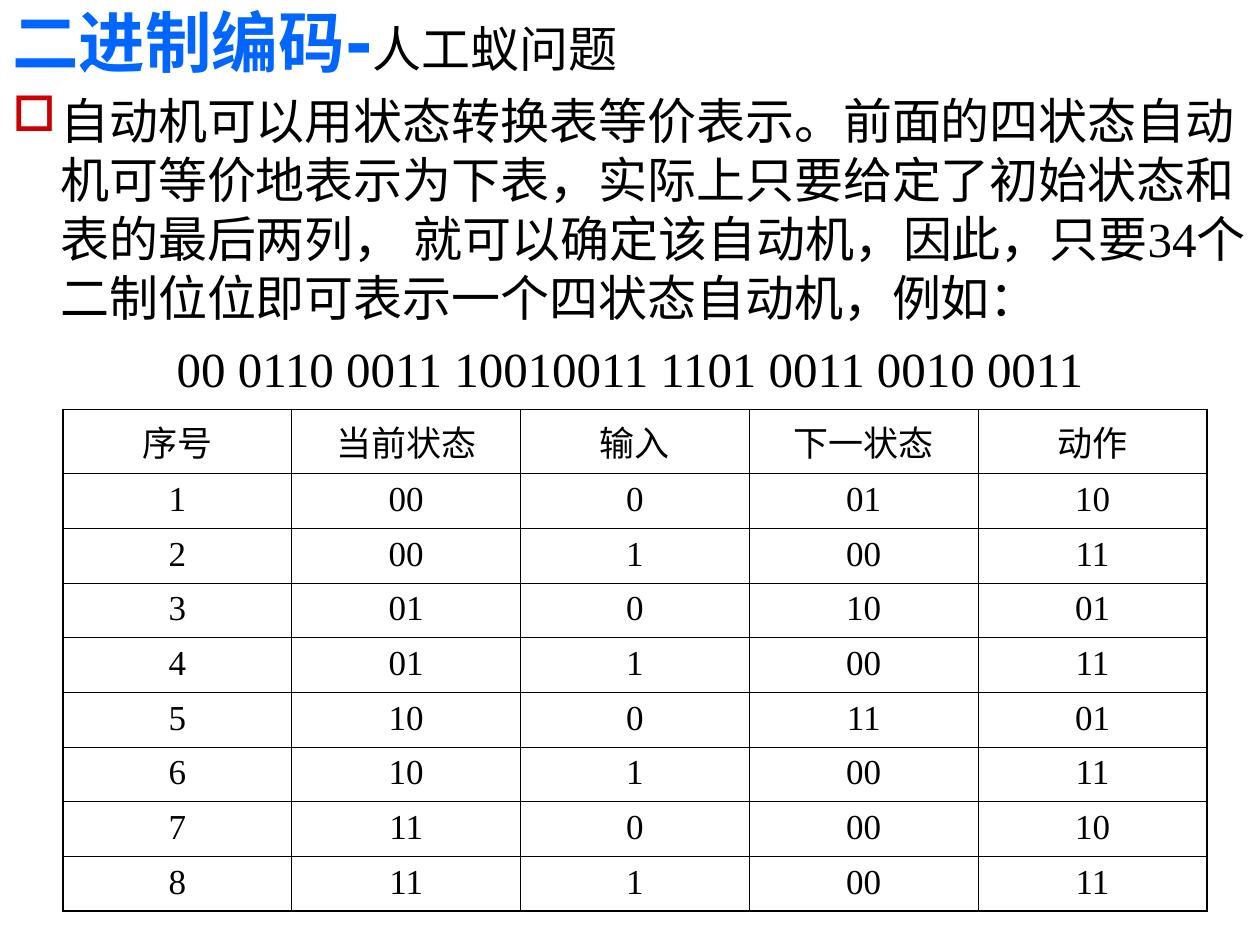
from dataclasses import dataclass

from lxml.etree import SubElement
from pptx import Presentation
from pptx.dml.color import RGBColor
from pptx.enum.lang import MSO_LANGUAGE_ID
from pptx.enum.text import MSO_ANCHOR, PP_ALIGN
from pptx.oxml.ns import qn
from pptx.util import Inches, Pt

BLUE = RGBColor(0x00, 0x66, 0xFF)
RED = RGBColor(0xCC, 0x00, 0x00)
BLACK = RGBColor(0x00, 0x00, 0x00)
SERIF = "Times New Roman"
SANS = "DejaVu Sans"
OUTER_LINE = Pt(1.08)
INNER_LINE = Pt(0.45)


@dataclass(frozen=True)
class Transition:
    next_state: str
    action: str


HEADINGS = ["序号", "当前状态", "输入", "下一状态", "动作"]
TRANSITIONS = [
    Transition("01", "10"),
    Transition("00", "11"),
    Transition("10", "01"),
    Transition("00", "11"),
    Transition("11", "01"),
    Transition("00", "11"),
    Transition("00", "10"),
    Transition("00", "11"),
]
EXPLANATION = (
    "自动机可以用状态转换表等价表示。前面的四状态自动机可等价地表示为下表，"
    "实际上只要给定了初始状态和表的最后两列， 就可以确定该自动机，因此，"
    "只要34个二制位位即可表示一个四状态自动机，例如："
)
ENCODING = "00 0110 0011 10010011 1101 0011 0010 0011"


def add_run(paragraph, text: str, *, size: float, font: str = SERIF,
            color: RGBColor = BLACK, bold: bool = False) -> None:
    run = paragraph.add_run()
    run.text = text
    run.font.size = Pt(size)
    run.font.name = font
    run.font.bold = bold
    run.font.color.rgb = color
    run.font.language_id = MSO_LANGUAGE_ID.SIMPLIFIED_CHINESE


def add_text_frame(slide, left: float, top: float, width: float, height: float,
                   anchor: MSO_ANCHOR = MSO_ANCHOR.TOP):
    box = slide.shapes.add_textbox(Inches(left), Inches(top), Inches(width), Inches(height))
    box.text_frame.word_wrap = True
    box.text_frame.vertical_anchor = anchor
    return box.text_frame


def set_hanging_indent(paragraph, indent: float) -> None:
    properties = paragraph._p.get_or_add_pPr()
    properties.set("marL", str(Inches(indent)))
    properties.set("indent", str(-Inches(indent)))


def set_bullet(paragraph, character: str, color: RGBColor) -> None:
    properties = paragraph._p.get_or_add_pPr()
    bullet_color = SubElement(properties, qn("a:buClr"))
    SubElement(bullet_color, qn("a:srgbClr"), val=str(color))
    SubElement(properties, qn("a:buChar"), char=character)


def set_borders(cell, *, left: int, right: int, top: int, bottom: int) -> None:
    properties = cell._tc.get_or_add_tcPr()
    for side, width in zip("LRTB", (left, right, top, bottom)):
        line = SubElement(properties, qn(f"a:ln{side}"), w=str(width))
        fill = SubElement(line, qn("a:solidFill"))
        SubElement(fill, qn("a:srgbClr"), val=str(BLACK))


def add_title(slide) -> None:
    frame = add_text_frame(slide, 0, 0, 8.58, 0.69, MSO_ANCHOR.BOTTOM)
    paragraph = frame.paragraphs[0]
    add_run(paragraph, "二进制编码-", size=38, font=SANS, color=BLUE, bold=True)
    add_run(paragraph, "人工蚁问题", size=28, font=SANS)


def add_body(slide) -> None:
    frame = add_text_frame(slide, 0, 0.67, 10, 6.83)
    explanation, encoding = frame.paragraphs[0], frame.add_paragraph()
    for paragraph, text in ((explanation, EXPLANATION), (encoding, ENCODING)):
        paragraph.space_before = Pt(7)
        set_hanging_indent(paragraph, 0.38)
        add_run(paragraph, text, size=28)
    set_bullet(explanation, "□", RED)
    encoding.alignment = PP_ALIGN.CENTER


def add_transition_table(slide) -> None:
    """Each state takes two rows, one for input 0 and one for input 1."""
    rows = [HEADINGS] + [
        [str(index + 1), f"{index // 2:02b}", str(index % 2),
         transition.next_state, transition.action]
        for index, transition in enumerate(TRANSITIONS)
    ]
    last_row, last_column = len(rows) - 1, len(HEADINGS) - 1
    table = slide.shapes.add_table(len(rows), len(HEADINGS), Inches(0.5), Inches(3.25),
                                   Inches(9.08), Inches(3.89)).table
    table.first_row = False
    table.horz_banding = False
    for row_index, values in enumerate(rows):
        table.rows[row_index].height = Inches(0.42 if row_index else 0.51)
        for column_index, value in enumerate(values):
            cell = table.cell(row_index, column_index)
            set_borders(
                cell,
                left=INNER_LINE if column_index else OUTER_LINE,
                right=OUTER_LINE if column_index == last_column else INNER_LINE,
                top=INNER_LINE if row_index else OUTER_LINE,
                bottom=OUTER_LINE if row_index == last_row else INNER_LINE,
            )
            cell.fill.background()
            paragraph = cell.text_frame.paragraphs[0]
            paragraph.alignment = PP_ALIGN.CENTER
            paragraph.space_before = Pt(5)
            add_run(paragraph, value, size=20)


def main() -> None:
    presentation = Presentation()
    presentation.slide_width = Inches(10)
    presentation.slide_height = Inches(7.5)
    slide = presentation.slides.add_slide(presentation.slide_layouts[6])
    add_title(slide)
    add_body(slide)
    add_transition_table(slide)
    presentation.save("out.pptx")


if __name__ == "__main__":
    main()
